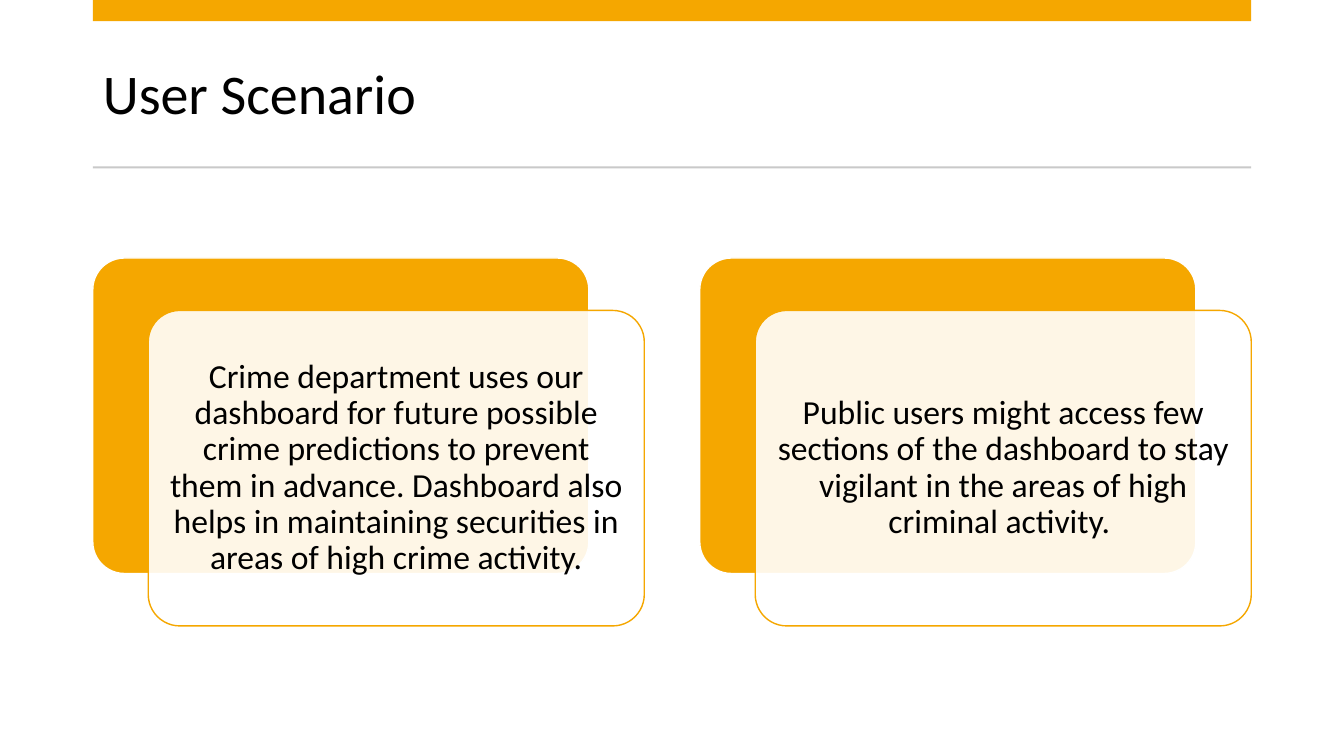
"""Build the User Scenario slide with two layered cards."""
from dataclasses import dataclass
from typing import Any, Optional

from lxml import etree
from pptx import Presentation
from pptx import util as u
from pptx.dml.color import RGBColor
from pptx.enum import shapes, text
from pptx.oxml.ns import qn


@dataclass(frozen=True)
class Theme:
    font: str = "Calibri"
    accent: RGBColor = RGBColor(0xF5, 0xA7, 0x00)
    rule: RGBColor = RGBColor(0xC9, 0xC9, 0xC9)
    white: RGBColor = RGBColor(0xFF, 0xFF, 0xFF)
    ink: RGBColor = RGBColor(0, 0, 0)
    title_size: int = 40
    card_size: int = 24


@dataclass(frozen=True)
class Block:
    left: float
    top: float
    width: float
    height: float
    fill: RGBColor
    line: Optional[RGBColor] = None
    opacity: int = 100
    rounded: bool = False


THEME = Theme()
MARGIN, CONTENT_WIDTH = 0.92, 11.49
CARD_TOP, CARD_WIDTH, CARD_HEIGHT = 2.56, 4.92, 3.13
CARD_PITCH, SHIFT_X, SHIFT_Y = 6.02, 0.55, 0.52
BARS = [
    Block(MARGIN, 0, CONTENT_WIDTH, 0.21, THEME.accent),
    Block(MARGIN, 1.65, CONTENT_WIDTH, 0.02, THEME.rule),
]
SCENARIOS = [
    "Crime department uses our dashboard for future possible crime predictions to prevent "
    "them in advance. Dashboard also helps in maintaining securities in areas of high crime activity.",
    "Public users might access few sections of the dashboard to stay vigilant in the "
    "areas of high criminal activity. ",
]


def set_format(target: Any, values: dict[str, Any]) -> None:
    for name, value in values.items():
        setattr(target, name, value)


def draw_block(page: Any, block: Block) -> Any:
    kind = shapes.MSO_SHAPE.ROUNDED_RECTANGLE if block.rounded else shapes.MSO_SHAPE.RECTANGLE
    lengths = (block.left, block.top, block.width, block.height)
    shape = page.shapes.add_shape(kind, *map(u.Inches, lengths))
    shape.shadow.inherit = False
    shape.fill.solid()
    shape.fill.fore_color.rgb = block.fill
    if block.rounded:
        shape.adjustments[0] = 0.1
    if block.opacity < 100:
        color = shape.fill._xPr.find(f".//{qn('a:srgbClr')}")
        etree.SubElement(color, qn("a:alpha"), val=str(block.opacity * 1000))
    if block.line is None:
        shape.line.fill.background()
    else:
        shape.line.color.rgb = block.line
        shape.line.width = u.Pt(1)
    return shape


def write_text(box: Any, words: str, size: int, align: text.PP_ALIGN, inset: dict[str, Any]) -> None:
    frame = box.text_frame
    set_format(frame, {
        "text": words,
        "word_wrap": True,
        "auto_size": text.MSO_AUTO_SIZE.NONE,
        "vertical_anchor": text.MSO_ANCHOR.MIDDLE,
        **inset,
    })
    para = frame.paragraphs[0]
    set_format(para, {"alignment": align, "line_spacing": 0.9})
    set_format(para.font, {"name": THEME.font, "size": u.Pt(size)})
    para.font.color.rgb = THEME.ink


def draw_card(page: Any, left: float, words: str) -> None:
    size = (CARD_WIDTH, CARD_HEIGHT)
    draw_block(page, Block(left, CARD_TOP, *size, THEME.accent, THEME.white, rounded=True))
    front = draw_block(page, Block(left + SHIFT_X, CARD_TOP + SHIFT_Y, *size,
                                   THEME.white, THEME.accent, 90, True))
    sides = ("left", "top", "right", "bottom")
    inset = {f"margin_{side}": u.Inches(0.1) for side in sides}
    write_text(front, words, THEME.card_size, text.PP_ALIGN.CENTER, inset)


def main() -> None:
    deck = Presentation()
    set_format(deck, {"slide_width": u.Inches(13.33), "slide_height": u.Inches(7.5)})
    page = deck.slides.add_slide(deck.slide_layouts.get_by_name("Title Only"))
    title = page.shapes.title
    set_format(title, {
        "left": u.Inches(MARGIN),
        "top": u.Inches(0.37),
        "width": u.Inches(CONTENT_WIDTH),
        "height": u.Inches(1.18),
    })
    write_text(title, "User Scenario", THEME.title_size, text.PP_ALIGN.LEFT, {})
    for bar in BARS:
        draw_block(page, bar)
    for index, words in enumerate(SCENARIOS):
        draw_card(page, MARGIN + index * CARD_PITCH, words)
    deck.save("out.pptx")


if __name__ == "__main__":
    main()
